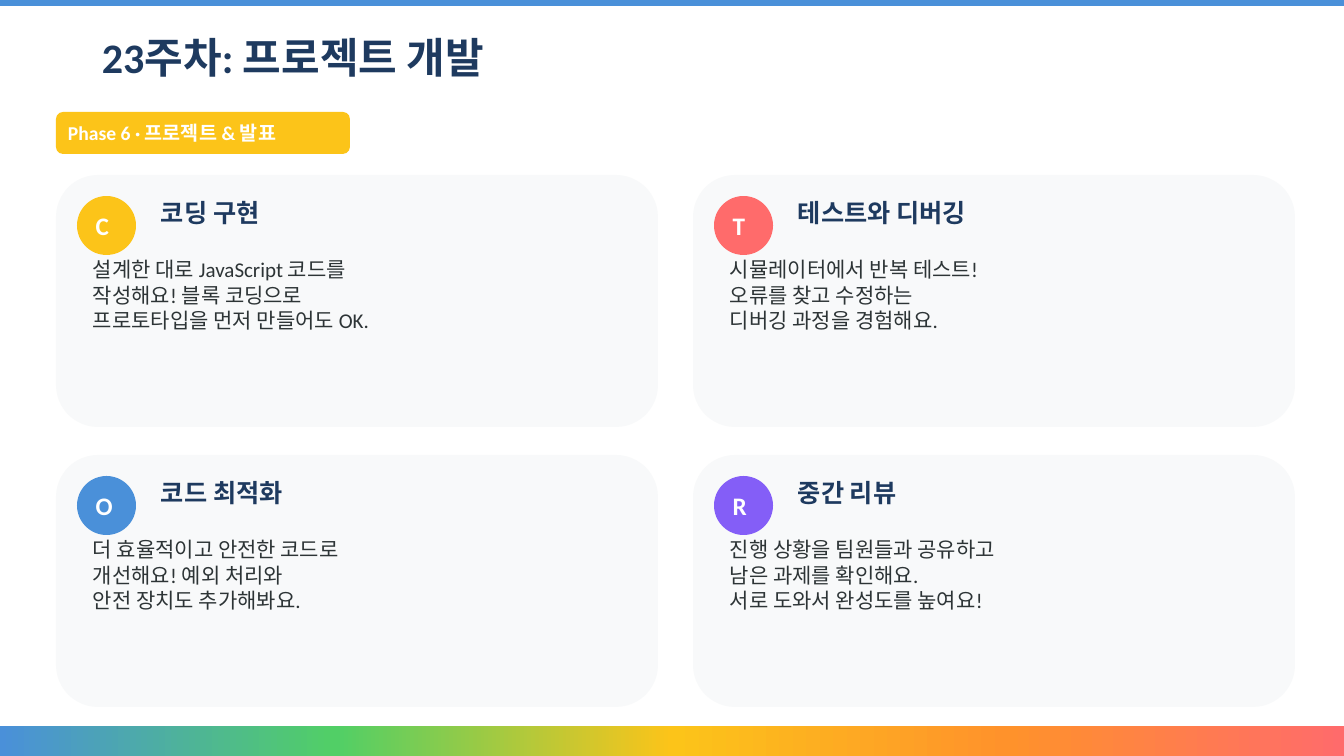
from lxml import etree
from pptx import Presentation
from pptx import util as u
from pptx.dml.color import RGBColor
from pptx.enum import shapes, text
from pptx.oxml.ns import qn

PX = 914400 / 100.8
W, H = 1344, 756
NAVY, INK, WHITE, PALE = "1E3A5F", "2D3436", "FFFFFF", "F8F9FA"
BLUE, GREEN, YELLOW, ORANGE, RED, PURPLE = (
    "4A90D9", "51CF66", "FCC419", "FF922B", "FF6B6B", "845EF7")

CARDS = [
    ("C", YELLOW, "코딩 구현",
     "설계한 대로 JavaScript 코드를\n작성해요! 블록 코딩으로\n프로토타입을 먼저 만들어도 OK."),
    ("T", RED, "테스트와 디버깅",
     "시뮬레이터에서 반복 테스트!\n오류를 찾고 수정하는\n디버깅 과정을 경험해요."),
    ("O", BLUE, "코드 최적화",
     "더 효율적이고 안전한 코드로\n개선해요! 예외 처리와\n안전 장치도 추가해봐요."),
    ("R", PURPLE, "중간 리뷰",
     "진행 상황을 팀원들과 공유하고\n남은 과제를 확인해요.\n서로 도와서 완성도를 높여요!"),
]


def px(n):
    return u.Emu(round(n * PX))


def rgb(color):
    return RGBColor.from_string(color)


def write(sp, words, size, color, bold=True, wrap=True, middle=False):
    tf = sp.text_frame
    tf.word_wrap = wrap
    tf.vertical_anchor = text.MSO_ANCHOR.MIDDLE if middle else text.MSO_ANCHOR.TOP
    p = tf.paragraphs[0]
    p.text = words
    p.alignment = text.PP_ALIGN.LEFT
    p.font.name = "Calibri"
    p.font.size = u.Pt(size)
    p.font.bold = bold
    p.font.color.rgb = rgb(color)
    return p


def add_shape(s, kind, x, y, w, h, color):
    sp = s.shapes.add_shape(kind, px(x), px(y), px(w), px(h))
    sp.shadow.inherit = False
    sp.fill.solid()
    sp.fill.fore_color.rgb = rgb(color)
    sp.line.fill.background()
    return sp


def add_text(s, x, y, w, h, words, size, color, **style):
    sp = s.shapes.add_textbox(px(x), px(y), px(w), px(h))
    return write(sp, words, size, color, **style)


def set_gradient(sp, colors):
    """Spread the colors evenly from left to right."""
    sp.fill.gradient()
    sp.fill.gradient_angle = 0
    stops = sp._element.spPr.find(qn("a:gradFill")).find(qn("a:gsLst"))
    for old in list(stops):
        stops.remove(old)
    for i, color in enumerate(colors):
        gs = etree.SubElement(stops, qn("a:gs"), pos=str(i * 100000 // (len(colors) - 1)))
        etree.SubElement(gs, qn("a:srgbClr"), val=color)


def add_bars(s, w, h):
    rect = shapes.MSO_SHAPE.RECTANGLE
    bottom = add_shape(s, rect, 0, h - 30, w, 30, BLUE)
    set_gradient(bottom, [BLUE, GREEN, YELLOW, ORANGE, RED])
    add_shape(s, rect, 0, 0, w, 6, BLUE)


def add_header(s, x, y):
    # Title
    p = add_text(s, x + 36, y, 1159, 77, "23주차: 프로젝트 개발", 30, NAVY, middle=True)
    p.line_spacing = 0.9
    # Phase badge
    badge = add_shape(s, shapes.MSO_SHAPE.ROUNDED_RECTANGLE, x, y + 91, 294, 42, YELLOW)
    write(badge, "Phase 6 · 프로젝트 & 발표", 14, WHITE, middle=True)


def add_card(s, x, y, w, h, letter, color, heading, body):
    add_shape(s, shapes.MSO_SHAPE.ROUNDED_RECTANGLE, x, y, w, h, PALE)
    # Letter icon
    icon = add_shape(s, shapes.MSO_SHAPE.OVAL, x + 21, y + 21, 59, 59, color)
    write(icon, letter, 18, WHITE, wrap=False, middle=True)
    # Heading and body
    add_text(s, x + 95, y + 17, w - 119, 39, heading, 18, NAVY)
    add_text(s, x + 27, y + 77, w - 49, h - 98, body, 15, INK, bold=False)


def add_card_grid(s, x, y, w, h, gap_x, gap_y):
    card_w, card_h = (w - gap_x) // 2, (h - gap_y) // 2
    for i, card in enumerate(CARDS):
        row, col = divmod(i, 2)
        add_card(s, x + col * (card_w + gap_x), y + row * (card_h + gap_y),
                 card_w, card_h, *card)


def main():
    prs = Presentation()
    prs.slide_width, prs.slide_height = px(W), px(H)
    s = prs.slides.add_slide(prs.slide_layouts[6])
    add_bars(s, W, H)
    add_header(s, 56, 21)
    add_card_grid(s, 56, 175, 1239, 532, 35, 28)
    prs.save("out.pptx")


if __name__ == "__main__":
    main()
